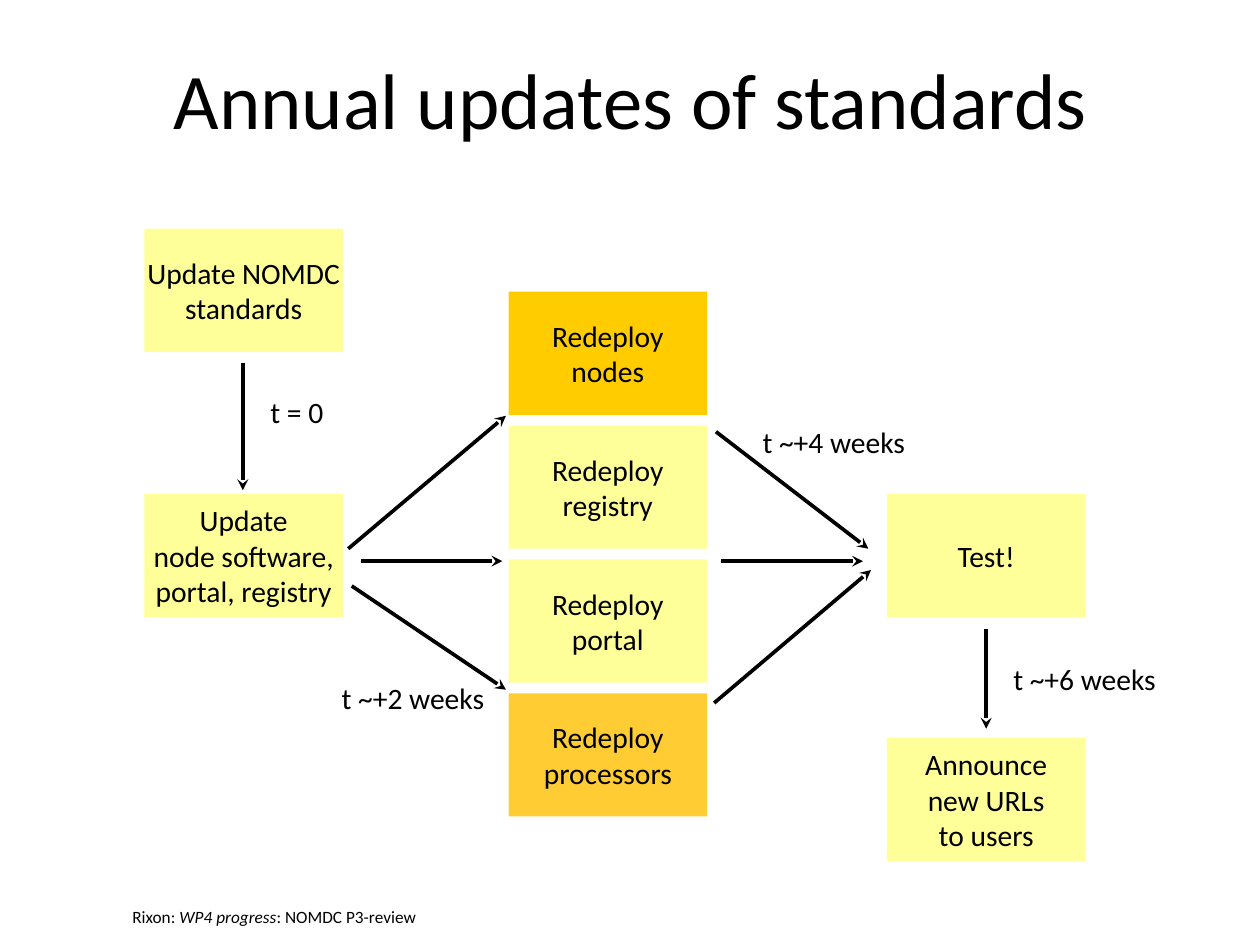
from dataclasses import dataclass

from lxml import etree
from pptx import Presentation
from pptx import util as u
from pptx.dml.color import RGBColor
from pptx.enum import shapes, text
from pptx.oxml import ns


@dataclass(frozen=True)
class Theme:
    font: str = "Calibri"
    ink: str = "000000"
    pale: str = "FFFF99"
    gold: str = "FFCC00"
    amber: str = "FFCC33"
    title_size: int = 64
    body_size: int = 24
    footer_size: int = 14
    line_width: int = 3


PX = 9144
BOX_WIDTH, BOX_HEIGHT = 224, 139
LEFT, MIDDLE, RIGHT = 163, 574, 1001
REDEPLOY_TOP, REDEPLOY_PITCH = 329, 151


def px(value):
    return u.Emu(value * PX)


class SlideBuilder:
    def __init__(self, slide, theme):
        self.slide = slide
        self.theme = theme

    def set_text(self, shape, paragraphs, size, wrap=True, inset=0):
        frame = shape.text_frame
        frame_format = {
            "word_wrap": wrap,
            "vertical_anchor": text.MSO_ANCHOR.MIDDLE,
            "margin_left": px(inset),
            "margin_right": px(inset),
            "margin_top": px(inset),
            "margin_bottom": px(inset),
        }
        for name, value in frame_format.items():
            setattr(frame, name, value)
        for index, runs in enumerate(paragraphs):
            paragraph = frame.add_paragraph() if index else frame.paragraphs[0]
            paragraph.alignment = text.PP_ALIGN.CENTER
            for words, italic in runs:
                run = paragraph.add_run()
                run.text = words
                font_format = {"name": self.theme.font, "size": u.Pt(size), "italic": italic}
                for name, value in font_format.items():
                    setattr(run.font, name, value)
                run.font.color.rgb = RGBColor.from_string(self.theme.ink)

    def label(self, left, top, width, height, runs, size, wrap=False, inset=0):
        shape = self.slide.shapes.add_textbox(px(left), px(top), px(width), px(height))
        self.set_text(shape, [runs], size, wrap, inset)

    def box(self, left, top, lines, color):
        shape = self.slide.shapes.add_shape(
            shapes.MSO_SHAPE.RECTANGLE, px(left), px(top), px(BOX_WIDTH), px(BOX_HEIGHT)
        )
        shape.shadow.inherit = False
        shape.fill.solid()
        shape.fill.fore_color.rgb = RGBColor.from_string(color)
        shape.line.fill.background()
        self.set_text(shape, [[(line, False)] for line in lines], self.theme.body_size)

    def arrow(self, start, end):
        connector = self.slide.shapes.add_connector(
            shapes.MSO_CONNECTOR.STRAIGHT, *(px(value) for value in (*start, *end))
        )
        connector.line.width = u.Pt(self.theme.line_width)
        connector.line.color.rgb = RGBColor.from_string(self.theme.ink)
        properties = connector.element.spPr
        etree.SubElement(properties.find(ns.qn("a:ln")), ns.qn("a:tailEnd"), type="stealth")
        etree.SubElement(properties, ns.qn("a:effectLst"))


def main():
    theme = Theme()
    presentation = Presentation()
    presentation.slide_width = px(1422)
    presentation.slide_height = px(1066)
    slide = presentation.slides.add_slide(presentation.slide_layouts[6])
    builder = SlideBuilder(slide, theme)

    footer = [("Rixon: ", False), ("WP4 progress", True), (": NOMDC P3-review", False)]
    builder.label(126, 1017, 367, 35, footer, theme.footer_size, wrap=True)
    title = [("Annual updates of standards", False)]
    builder.label(139, 28, 1144, 165, title, theme.title_size, wrap=True, inset=6)

    steps = [
        (LEFT, 258, ["Update NOMDC standards"]),
        (LEFT, 557, ["Update", "node software,", "portal, registry"]),
        (RIGHT, 557, ["Test!"]),
        (RIGHT, 832, ["Announce", "new URLs", "to users"]),
    ]
    for left, top, lines in steps:
        builder.box(left, top, lines, theme.pale)

    redeployments = [
        ("nodes", theme.gold),
        ("registry", theme.pale),
        ("portal", theme.pale),
        ("processors", theme.amber),
    ]
    for index, (target, color) in enumerate(redeployments):
        top = REDEPLOY_TOP + index * REDEPLOY_PITCH
        builder.box(MIDDLE, top, ["Redeploy", target], color)

    arrows = [
        ((274, 410), (274, 553)),
        ((393, 619), (571, 469)),
        ((407, 633), (567, 633)),
        ((397, 661), (571, 778)),
        ((808, 487), (980, 619)),
        ((814, 633), (974, 633)),
        ((806, 793), (983, 643)),
        ((1113, 710), (1113, 822)),
    ]
    for start, end in arrows:
        builder.arrow(start, end)

    times = [
        (301, 444, 68, "t = 0"),
        (374, 767, 184, "t ~+2 weeks"),
        (849, 478, 184, "t ~+4 weeks"),
        (1132, 746, 184, "t ~+6 weeks"),
    ]
    for left, top, width, words in times:
        builder.label(left, top, width, 40, [(words, False)], theme.body_size)

    presentation.save("out.pptx")


if __name__ == "__main__":
    main()
